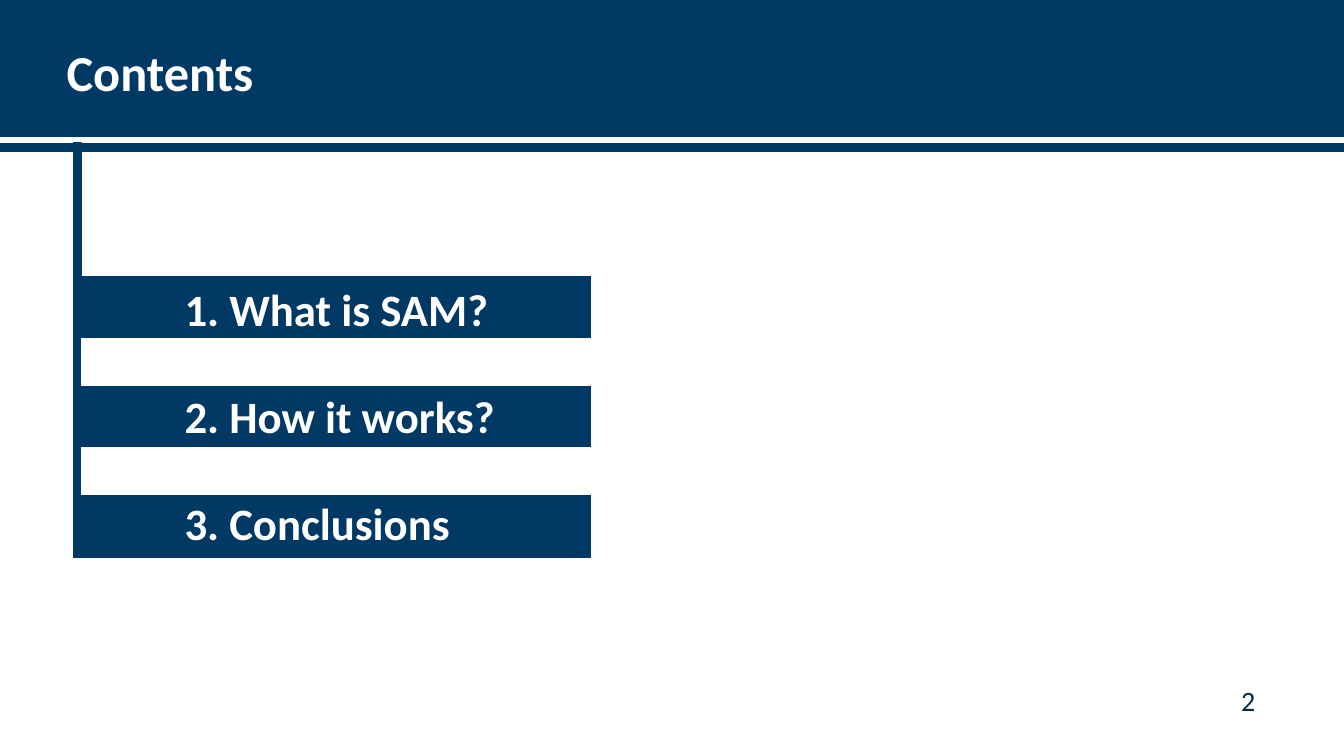
from pptx import Presentation
from pptx.dml.color import RGBColor
from pptx.enum.shapes import MSO_SHAPE
from pptx.enum.text import MSO_ANCHOR, MSO_AUTO_SIZE, PP_ALIGN
from pptx.util import Inches, Pt
from lxml.etree import SubElement
from pptx.oxml.ns import qn

WIDE, HIGH = 13.33, 7.5
NAVY, WHITE, INK = "003963", "FFFFFF", "032E3F"
TOPICS = ["1. What is SAM?", "2. How it works?", "3. Conclusions"]


def paint(part, color, width=1):
    """Give a part one colour for fill and line."""
    shade = RGBColor.from_string(color)
    part.fill.solid()
    part.fill.fore_color.rgb = shade
    part.line.color.rgb = shade
    part.line.width = Pt(width)


def place(part, box):
    part.left, part.top, part.width, part.height = map(Inches, box)


def bar(slide, box, color):
    rect = slide.shapes.add_shape(MSO_SHAPE.RECTANGLE, *map(Inches, box))
    rect.shadow.inherit = False
    paint(rect, color)


def write(part, text, size, color, bold=False, align=PP_ALIGN.LEFT,
          anchor=MSO_ANCHOR.TOP):
    frame = part.text_frame
    frame.text = text
    frame.word_wrap = True
    frame.auto_size = MSO_AUTO_SIZE.NONE
    frame.vertical_anchor = anchor
    for para in frame.paragraphs:
        para.alignment = align
        para.space_before = Pt(0)
        for run in para.runs:
            run.font.name = "Calibri"
            run.font.size = Pt(size)
            run.font.bold = bold
            run.font.color.rgb = RGBColor.from_string(color)


def header(slide, box):
    left, top, width, height = box
    # Band and the thin stripe under it
    bar(slide, (left, top, width, height * 0.9), NAVY)
    bar(slide, (left, top + height * 0.95, width, height * 0.05), NAVY)
    # Title in front of the band
    title = slide.shapes.title
    slide.shapes.element.append(title.element)
    place(title, (left + 0.56, top + height * 0.24, 5.02, 0.71))
    write(title, "Contents", 36, WHITE, bold=True)


def agenda(slide, box):
    left, top, width, height = box
    rail, gap, step = 0.08, 0.46, 1.08
    head = 1.32  # length of the rail above the panel
    # Topic list on a solid panel
    body = slide.placeholders[1]
    slide.shapes.element.append(body.element)
    place(body, (left, top + head, width, height - head))
    paint(body, NAVY, 0.75)
    write(body, "\n".join(TOPICS), 32, WHITE, bold=True)
    body.text_frame.margin_left = Inches(1.1)
    for row, para in enumerate(body.text_frame.paragraphs):
        props = para._p.get_or_add_pPr()
        props.set("marL", "0")
        props.set("indent", "0")
        SubElement(props, qn("a:buNone"))
        para.space_before = Pt(38 if row else 0)
    # Rail from the header down
    bar(slide, (left, top, rail, height), NAVY)
    # White strips part the topics
    for row in range(len(TOPICS) - 1):
        strip = top + head + 0.62 + row * step
        bar(slide, (left + rail, strip, width - rail, gap), WHITE)


def footer(slide, box):
    number = slide.shapes.add_textbox(*map(Inches, box))
    write(number, "2", 20, INK, align=PP_ALIGN.RIGHT, anchor=MSO_ANCHOR.MIDDLE)


def main():
    deck = Presentation()
    deck.slide_width, deck.slide_height = Inches(WIDE), Inches(HIGH)
    slide = deck.slides.add_slide(deck.slide_layouts[1])
    header(slide, (0, 0, WIDE, HIGH * 0.2))
    agenda(slide, (0.73, 1.42, 5.13, 4.11))
    footer(slide, (9.55, HIGH * 0.9, 3, 0.4))
    deck.save("out.pptx")


if __name__ == "__main__":
    main()
